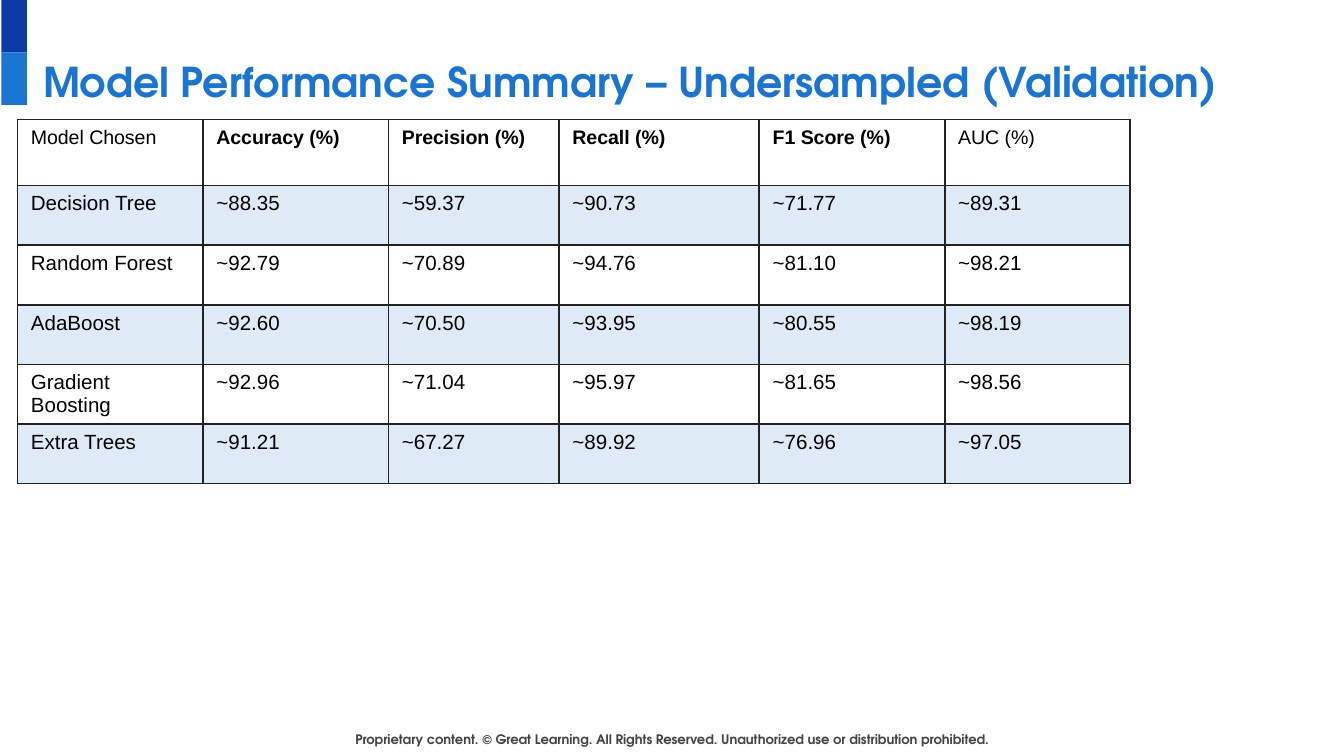
from dataclasses import dataclass
from lxml.etree import SubElement
from pptx import Presentation
from pptx.dml.color import RGBColor
from pptx.enum.shapes import MSO_SHAPE
from pptx.enum.text import MSO_ANCHOR, MSO_AUTO_SIZE, PP_ALIGN
from pptx.oxml import parse_xml
from pptx.oxml.ns import nsdecls, qn
from pptx.util import Inches, Pt


@dataclass(frozen=True)
class Theme:
    navy: str = "0E39A9"
    blue: str = "1974D2"
    band: str = "5B9BD5"
    band_alpha: int = 20
    border: str = "222222"
    ink: str = "000000"
    grey: str = "434343"
    display: str = "TeX Gyre Adventor"
    body: str = "Arial"
    title_size: float = 22
    head_size: float = 10.5
    cell_size: float = 11
    foot_size: float = 7


@dataclass(frozen=True)
class Column:
    name: str
    width: float
    bold: bool = True


THEME = Theme()
COLUMNS = [
    Column("Model Chosen", 1.38, False),
    Column("Accuracy (%)", 1.38),
    Column("Precision (%)", 1.27),
    Column("Recall (%)", 1.49),
    Column("F1 Score (%)", 1.38),
    Column("AUC (%)", 1.38, False),
]
MODELS = [
    ("Decision Tree", "~88.35", "~59.37", "~90.73", "~71.77", "~89.31"),
    ("Random Forest", "~92.79", "~70.89", "~94.76", "~81.10", "~98.21"),
    ("AdaBoost", "~92.60", "~70.50", "~93.95", "~80.55", "~98.19"),
    ("Gradient Boosting", "~92.96", "~71.04", "~95.97", "~81.65", "~98.56"),
    ("Extra Trees", "~91.21", "~67.27", "~89.92", "~76.96", "~97.05"),
]
TABLE_HEIGHT, HEAD_HEIGHT = 2.71, 0.49
ROW_HEIGHT = (TABLE_HEIGHT - HEAD_HEIGHT) / len(MODELS)


def style(frame, face: str, size: float, color: str, bold: bool) -> None:
    for run in frame.paragraphs[0].runs:
        font = run.font
        font.name, font.size, font.bold = face, Pt(size), bold
        font.color.rgb = RGBColor.from_string(color)


def pad(frame) -> None:
    frame.word_wrap = True
    frame.vertical_anchor = MSO_ANCHOR.TOP
    frame.margin_left = frame.margin_right = Inches(0.1)
    frame.margin_top = frame.margin_bottom = Inches(0.1)


def add_block(slide, top: float, color: str) -> None:
    block = slide.shapes.add_shape(
        MSO_SHAPE.RECTANGLE, Inches(0.01), Inches(top), Inches(0.19), Inches(0.39))
    block.shadow.inherit = False
    block.fill.solid()
    block.fill.fore_color.rgb = RGBColor.from_string(color)
    block.line.fill.background()


def set_cell(cell, text: str, size: float, bold: bool, banded: bool) -> None:
    cell.text_frame.text = text
    cell.margin_bottom = Inches(0.02)
    style(cell.text_frame, THEME.body, size, THEME.ink, bold)
    if banded:
        cell.fill.solid()
        cell.fill.fore_color.rgb = RGBColor.from_string(THEME.band)
    else:
        cell.fill.background()
    props = cell._tc.get_or_add_tcPr()
    for color in props.iter(qn("a:srgbClr")):
        SubElement(color, qn("a:alpha"), val=str(THEME.band_alpha * 1000))
    # Borders come before the fill
    for spot, side in enumerate("LRTB"):
        props.insert(spot, parse_xml(
            f'<a:ln{side} {nsdecls("a")} w="{Pt(1)}"><a:solidFill>'
            f'<a:srgbClr val="{THEME.border}"/></a:solidFill></a:ln{side}>'))


def add_scores(slide) -> None:
    width = sum(column.width for column in COLUMNS)
    table = slide.shapes.add_table(
        len(MODELS) + 1, len(COLUMNS),
        Inches(0.13), Inches(0.89), Inches(width), Inches(TABLE_HEIGHT)).table
    table.first_row = table.horz_banding = False
    table.rows[0].height = Inches(HEAD_HEIGHT)
    for index, column in enumerate(COLUMNS):
        table.columns[index].width = Inches(column.width)
        set_cell(table.cell(0, index), column.name, THEME.head_size, column.bold, False)
    for row, model in enumerate(MODELS, 1):
        table.rows[row].height = Inches(ROW_HEIGHT)
        for index, text in enumerate(model):
            set_cell(table.cell(row, index), text, THEME.cell_size, False, row % 2 == 1)


def main() -> None:
    deck = Presentation()
    # Widescreen, 16 to 9
    deck.slide_width, deck.slide_height = Inches(10), Inches(10 * 9 / 16)
    slide = deck.slides.add_slide(deck.slide_layouts[5])

    # Footer
    foot = slide.shapes.add_textbox(Inches(2.44), Inches(5.38), Inches(5.11), Inches(0.3))
    pad(foot.text_frame)
    foot.text_frame.auto_size = MSO_AUTO_SIZE.SHAPE_TO_FIT_TEXT
    foot.text_frame.text = ("Proprietary content. © Great Learning. All Rights Reserved. "
                            "Unauthorized use or distribution prohibited.")
    line = foot.text_frame.paragraphs[0]
    line.alignment, line.line_spacing = PP_ALIGN.CENTER, 1.02
    line._p.get_or_add_pPr().set("marL", str(Inches(0.01)))
    style(foot.text_frame, THEME.display, THEME.foot_size, THEME.grey, True)

    # Corner blocks
    for top, color in ((0, THEME.navy), (0.39, THEME.blue)):
        add_block(slide, top, color)

    # Title
    title = slide.shapes.title
    title.left, title.top = Inches(0.22), Inches(0.32)
    title.width, title.height = Inches(9.32), Inches(0.63)
    pad(title.text_frame)
    title.text_frame.text = "Model Performance Summary – Undersampled (Validation)"
    title.text_frame.paragraphs[0].alignment = PP_ALIGN.LEFT
    style(title.text_frame, THEME.display, THEME.title_size, THEME.blue, True)

    # Score table
    add_scores(slide)
    deck.save("out.pptx")


if __name__ == "__main__":
    main()
